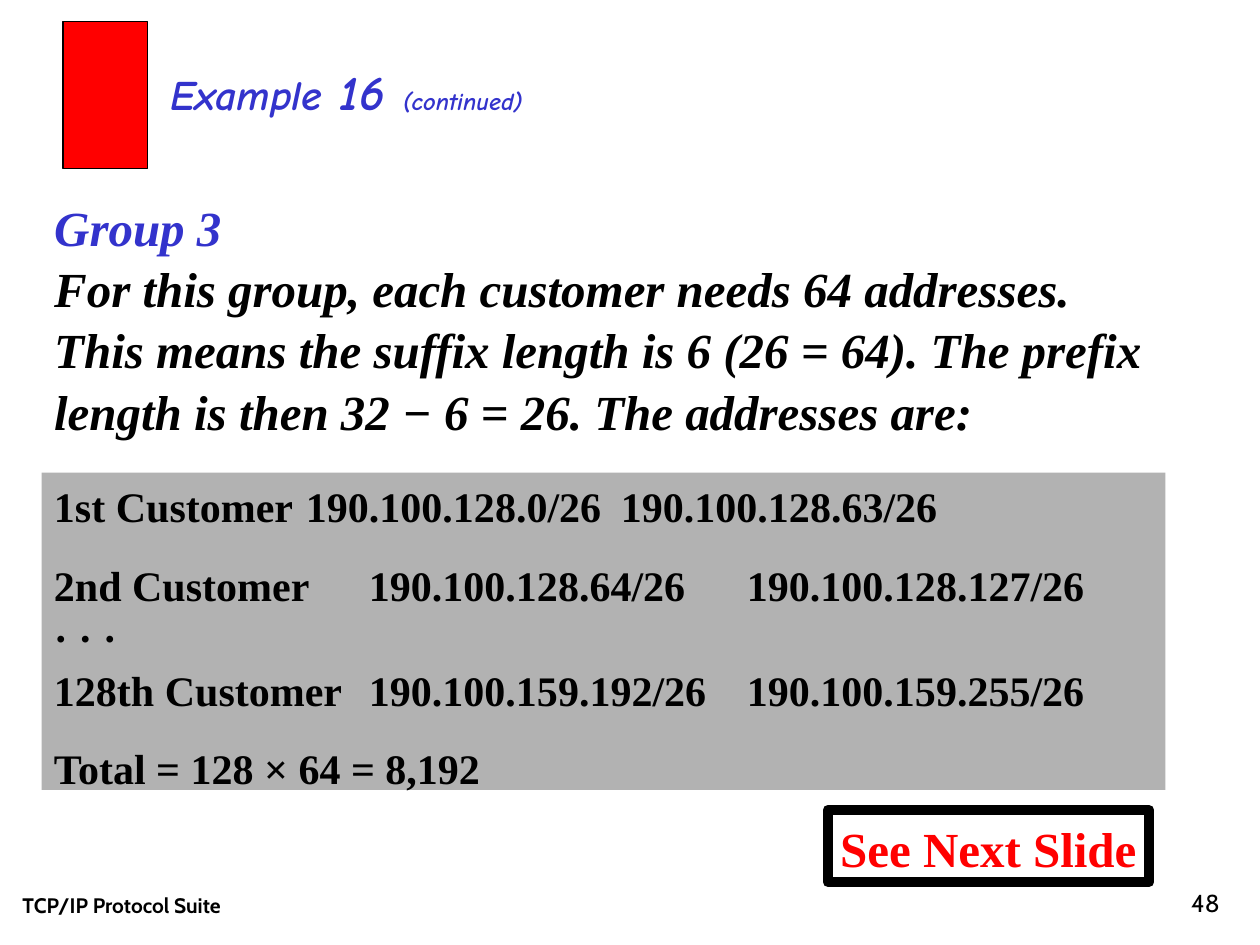
from lxml import etree
from pptx import Presentation
from pptx.dml.color import RGBColor
from pptx.enum.shapes import MSO_SHAPE
from pptx.enum.text import MSO_ANCHOR, MSO_AUTO_SIZE, PP_ALIGN
from pptx.oxml.ns import qn
from pptx.util import Inches, Pt

RECT = MSO_SHAPE.RECTANGLE
TOP, BOTTOM = MSO_ANCHOR.TOP, MSO_ANCHOR.BOTTOM
LEFT, RIGHT = PP_ALIGN.LEFT, PP_ALIGN.RIGHT

SERIF, COMIC, SANS = "Times New Roman", "Comic Neue", "Cabin"
BLUE, RED, BLACK, GRAY = "3333CC", "FF0000", "000000", "B2B2B2"

MARGIN, CONTENT_WIDTH = 0.33, 8.92
COLUMN = 3.0  # width of one address column, inches
LEADING = 1.04


def color(hex_string):
    return RGBColor.from_string(hex_string)


def place(shape, left, top, width, height):
    shape.left, shape.top = Inches(left), Inches(top)
    shape.width, shape.height = Inches(width), Inches(height)


def prepare_frame(shape, anchor=TOP, wrap=True):
    frame = shape.text_frame
    frame.auto_size = MSO_AUTO_SIZE.NONE
    frame.word_wrap = wrap
    frame.vertical_anchor = anchor
    return frame


def format_paragraph(paragraph, align=LEFT, before=0, leading=LEADING, tabs=()):
    paragraph.alignment = align
    paragraph.line_spacing = leading
    paragraph.space_before = Pt(before)
    properties = paragraph._p.get_or_add_pPr()
    properties.set("marL", "0")
    properties.set("indent", "0")
    etree.SubElement(properties, qn("a:buNone"))
    if tabs:
        tab_list = etree.SubElement(properties, qn("a:tabLst"))
        for stop in tabs:
            etree.SubElement(tab_list, qn("a:tab"), pos=str(Inches(stop)), algn="l")


def add_run(paragraph, text, size, face, hex_color, bold=True, italic=False):
    run = paragraph.add_run()
    run.text = text
    font = run.font
    font.size, font.name = Pt(size), face
    font.bold, font.italic = bold, italic
    font.color.rgb = color(hex_color)


def add_rectangle(slide, box, fill=None, line=None, line_width=0.75):
    rectangle = slide.shapes.add_shape(RECT, *map(Inches, box))
    rectangle.shadow.inherit = False
    if fill:
        rectangle.fill.solid()
        rectangle.fill.fore_color.rgb = color(fill)
    else:
        rectangle.fill.background()
    if line:
        rectangle.line.color.rgb = color(line)
        rectangle.line.width = Pt(line_width)
    else:
        rectangle.line.fill.background()
    return rectangle


def fill_title(title):
    place(title, 1.25, 0.42, 5.25, 0.57)
    heading = prepare_frame(title).paragraphs[0]
    format_paragraph(heading)
    for text, size in (("Example", 24), (" 16 ", 28), ("(continued)", 14)):
        add_run(heading, text, size, COMIC, BLUE, italic=True)


def fill_body(body):
    place(body, MARGIN, 1.5, CONTENT_WIDTH, 1.97)
    explanation = prepare_frame(body).paragraphs[0]
    format_paragraph(explanation)
    add_run(explanation, "Group 3", 28, SERIF, BLUE, italic=True)
    explanation.add_line_break()
    add_run(explanation,
            "For this group, each customer needs 64 addresses. This means the "
            "suffix length is 6 (26 = 64). The prefix length is then "
            "32 − 6 = 26. The addresses are:",
            28, SERIF, BLACK, italic=True)


def add_address_panel(slide):
    groups = [
        ["1st Customer\t190.100.128.0/26\t190.100.128.63/26"],
        ["2nd Customer\t190.100.128.64/26\t190.100.128.127/26",
         "· · ·",
         "128th Customer\t190.100.159.192/26\t190.100.159.255/26"],
        ["Total = 128 × 64 = 8,192"],
    ]
    panel = add_rectangle(slide, (MARGIN, 3.75, CONTENT_WIDTH, 2.52), fill=GRAY)
    frame = prepare_frame(panel)
    for index, lines in enumerate(groups):
        paragraph = frame.add_paragraph() if index else frame.paragraphs[0]
        format_paragraph(paragraph, before=15 if index else 0,
                         tabs=(COLUMN, 2 * COLUMN))
        for row, line in enumerate(lines):
            if row:
                paragraph.add_line_break()
            add_run(paragraph, line, 24, SERIF, BLACK)


def add_next_slide_note(slide):
    note = add_rectangle(slide, (6.57, 6.43, 2.55, 0.57), line=BLACK, line_width=6)
    paragraph = prepare_frame(note, wrap=False).paragraphs[0]
    format_paragraph(paragraph)
    add_run(paragraph, "See Next Slide", 28, SERIF, RED)


def add_footer(slide, left, width, text, size, align, bold):
    footer = slide.shapes.add_textbox(*map(Inches, (left, 6.83, width, 0.5)))
    paragraph = prepare_frame(footer, BOTTOM).paragraphs[0]
    format_paragraph(paragraph, align, leading=1.0)
    add_run(paragraph, text, size, SANS, BLACK, bold)


def main():
    presentation = Presentation()
    presentation.slide_width, presentation.slide_height = Inches(10), Inches(7.5)
    slide = presentation.slides.add_slide(presentation.slide_layouts[1])

    # Heading and explanation
    fill_body(slide.placeholders[1])
    fill_title(slide.shapes.title)

    # Call-out, red marker and addresses
    add_next_slide_note(slide)
    add_rectangle(slide, (0.5, 0.17, 0.67, 1.17), fill=RED, line=BLACK)
    add_address_panel(slide)

    # Footer
    add_footer(slide, 0.08, 3.17, "TCP/IP Protocol Suite", 12, LEFT, True)
    add_footer(slide, 7.7, 2.08, "48", 14, RIGHT, False)

    presentation.save("out.pptx")


if __name__ == "__main__":
    main()
